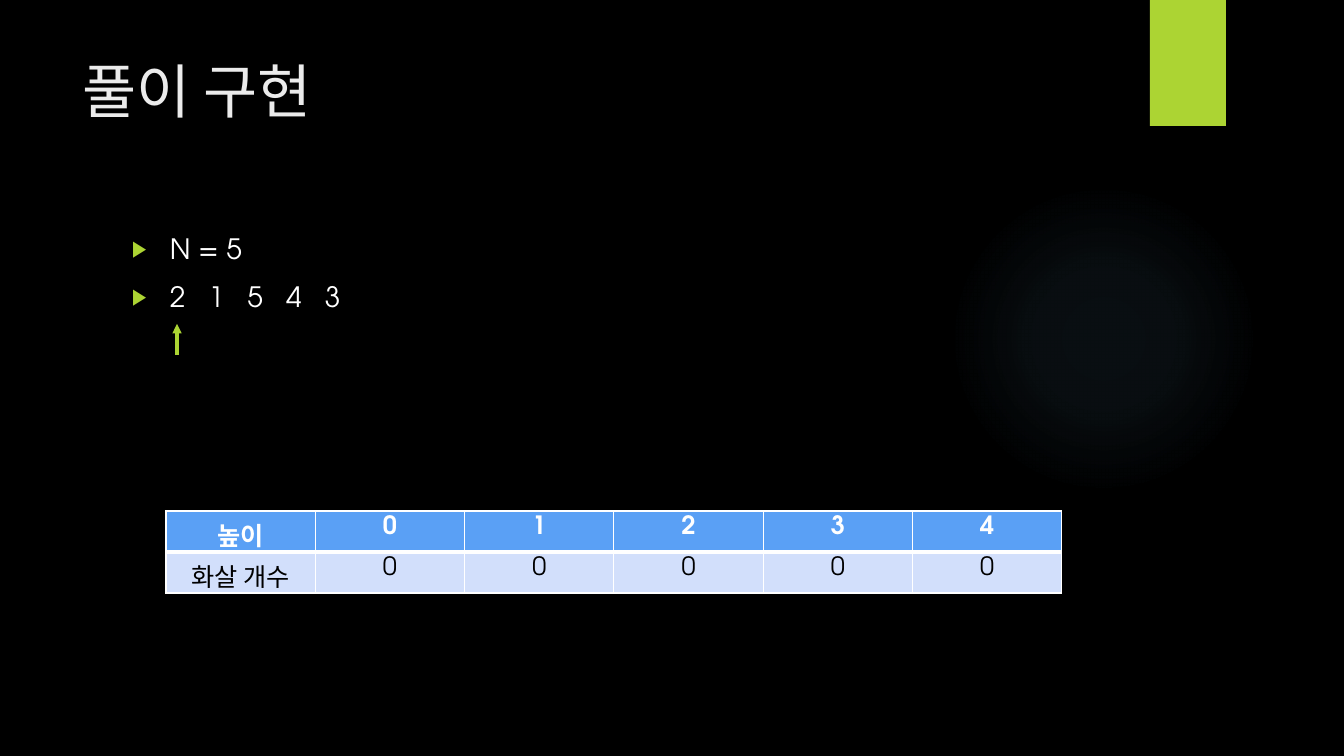
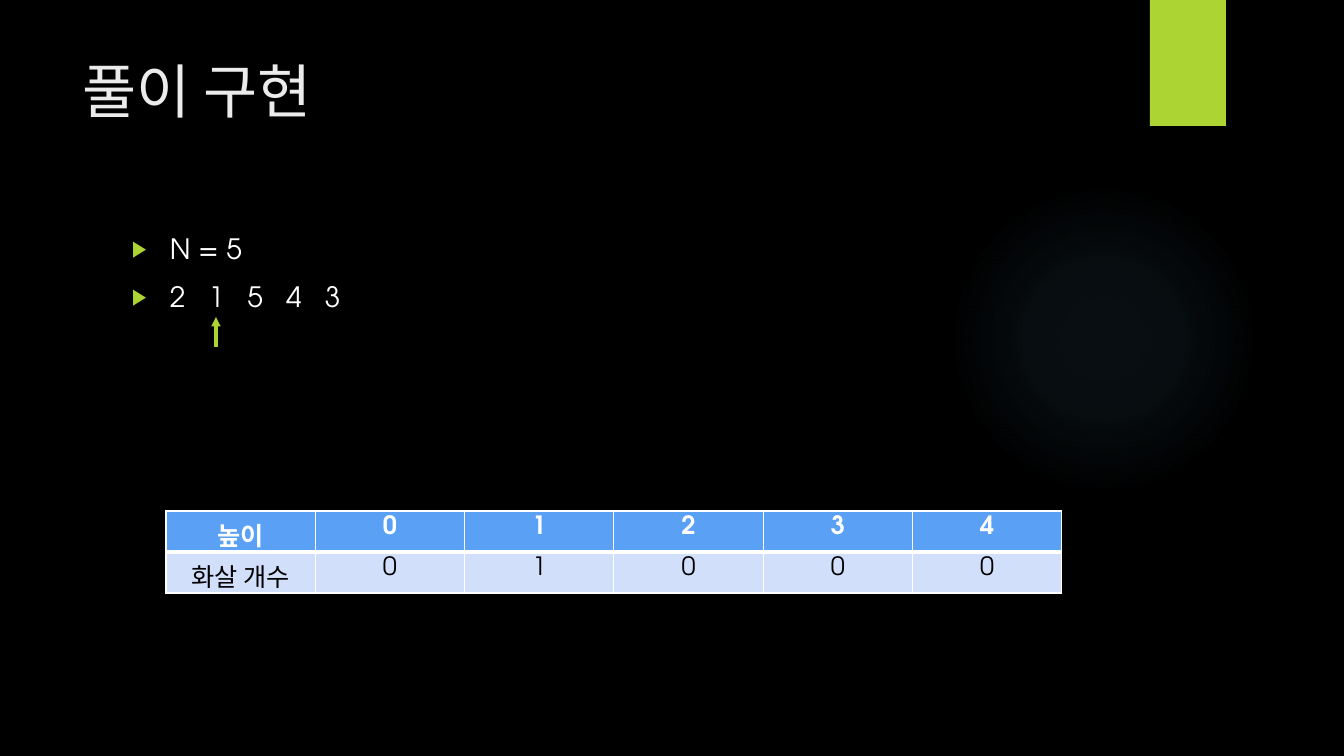
from lxml import etree
from pptx import Presentation
from pptx.dml.color import RGBColor
from pptx.enum.shapes import MSO_CONNECTOR, MSO_SHAPE
from pptx.enum.text import MSO_ANCHOR, MSO_AUTO_SIZE, PP_ALIGN
from pptx.oxml import parse_xml
from pptx.oxml.ns import nsdecls, qn
from pptx.util import Pt

PX = 12192000 / 1344
FONT = "TeX Gyre Adventor"
BLACK = RGBColor(0x00, 0x00, 0x00)
WHITE = RGBColor(0xFF, 0xFF, 0xFF)
TITLE_GREY = RGBColor(0xEB, 0xEB, 0xEB)
LIME = RGBColor(0xAC, 0xD4, 0x33)
GLOW_BLUE = RGBColor(0x7A, 0xC4, 0xF0)
HEADER_BLUE = RGBColor(0x5A, 0xA0, 0xF5)
ROW_BLUE = RGBColor(0xD2, 0xDF, 0xFB)
OVAL, RECTANGLE = MSO_SHAPE.OVAL, MSO_SHAPE.RECTANGLE
STRAIGHT = MSO_CONNECTOR.STRAIGHT
LEFT, CENTER = PP_ALIGN.LEFT, PP_ALIGN.CENTER
TOP = MSO_ANCHOR.TOP
NO_AUTOSIZE = MSO_AUTO_SIZE.NONE

TITLE_FORMAT = {"size": Pt(42), "color": TITLE_GREY}
BODY_FORMAT = {"size": Pt(20), "color": WHITE}
HEADER_FORMAT = {"size": Pt(18), "color": WHITE, "bold": True}
ROW_FORMAT = {"size": Pt(18), "color": BLACK, "bold": False}

HEIGHTS = ["높이", "0", "1", "2", "3", "4"]
BODY_LINES = [("N = 5", 0), ("2 1 5 4 3", 554)]
BULLET = (
    f'<a:buClr {nsdecls("a")}><a:srgbClr val="{LIME}"/></a:buClr>',
    f'<a:buSzPct {nsdecls("a")} val="80000"/>',
    f'<a:buFont {nsdecls("a")} typeface="Arial"/>',
    f'<a:buChar {nsdecls("a")} char="▶"/>',
)
GLOW_STOPS = "".join(
    f'<a:gs pos="{place * 1000}"><a:srgbClr val="{GLOW_BLUE}">'
    f'<a:alpha val="{alpha * 1000}"/></a:srgbClr></a:gs>'
    for place, alpha in [(0, 7), (36, 6), (69, 0), (100, 0)]
)
GLOW_FILL = (
    f'<a:gradFill {nsdecls("a")}><a:gsLst>{GLOW_STOPS}</a:gsLst><a:path path="circle">'
    '<a:fillToRect l="50000" t="50000" r="50000" b="50000"/></a:path></a:gradFill>'
)

STEPS = [
    {"counts": ["화살 개수", "0", "0", "0", "0", "0"], "arrow": (177, 355, 324)},
    {"counts": ["화살 개수", "0", "1", "0", "0", "0"], "arrow": (216, 347, 317)},
]


def px(*lengths):
    return [round(length * PX) for length in lengths]


def write(para, text, values):
    span = para.add_run()
    span.text = text
    span.font.name = FONT
    for name, value in values.items():
        if name == "color":
            span.font.color.rgb = value
        else:
            setattr(span.font, name, value)
    return span


deck = Presentation()
deck.slide_width, deck.slide_height = px(1344, 756)
background = deck.slide_master.background.fill
background.solid()
background.fore_color.rgb = BLACK

for step in STEPS:
    page = deck.slides.add_slide(deck.slide_layouts[5])

    glow = page.shapes.add_shape(OVAL, *px(949, 184, 310, 310))
    band = page.shapes.add_shape(RECTANGLE, *px(1150, 0, 76, 126))
    for shape in (glow, band):
        shape.shadow.inherit = False
        shape.line.fill.background()
    glow.element.spPr.insert(2, parse_xml(GLOW_FILL))
    band.fill.solid()
    band.fill.fore_color.rgb = LIME

    title = page.shapes.title
    title.left, title.top, title.width, title.height = px(72, 50, 1037, 154)
    title.text_frame.auto_size = NO_AUTOSIZE
    title.text_frame.vertical_anchor = TOP
    title_para = title.text_frame.paragraphs[0]
    title_para.alignment = LEFT
    write(title_para, "풀이 구현", TITLE_FORMAT)

    body = page.shapes.add_textbox(*px(122, 227, 986, 463)).text_frame
    body.word_wrap = True
    for index, (text, spacing) in enumerate(BODY_LINES):
        para = body.add_paragraph() if index else body.paragraphs[0]
        para.space_before = Pt(10)
        span = write(para, text, BODY_FORMAT)
        if spacing:
            span.font._element.set("spc", str(spacing))
        properties = para._p.get_or_add_pPr()
        indent = px(38)[0]
        properties.set("marL", str(indent))
        properties.set("indent", str(-indent))
        for part in BULLET:
            properties.append(parse_xml(part))

    rows = [
        (HEIGHTS, HEADER_FORMAT, HEADER_BLUE, {"lnL": 1, "lnR": 1, "lnT": 1, "lnB": 3}),
        (step["counts"], ROW_FORMAT, ROW_BLUE, {"lnL": 1, "lnR": 1, "lnT": 3, "lnB": 1}),
    ]
    table = page.shapes.add_table(2, 6, *px(166, 511, 896, 82)).table
    for row_index, (texts, values, fill, borders) in enumerate(rows):
        for column_index, text in enumerate(texts):
            cell = table.cell(row_index, column_index)
            cell.fill.solid()
            cell.fill.fore_color.rgb = fill
            para = cell.text_frame.paragraphs[0]
            para.alignment = CENTER
            write(para, text, values)
            for place, (side, width) in enumerate(borders.items()):
                border = parse_xml(
                    f'<a:{side} {nsdecls("a")} w="{Pt(width)}"><a:solidFill>'
                    f'<a:srgbClr val="{WHITE}"/></a:solidFill></a:{side}>'
                )
                cell._tc.get_or_add_tcPr().insert(place, border)

    x, start, end = step["arrow"]
    arrow = page.shapes.add_connector(STRAIGHT, *px(x, start, x, end))
    arrow.line.color.rgb = LIME
    arrow.line.width = Pt(2.25)
    etree.SubElement(arrow.line._get_or_add_ln(), qn("a:tailEnd"), type="triangle")
    etree.SubElement(arrow._element.spPr, qn("a:effectLst"))

deck.save("out.pptx")
